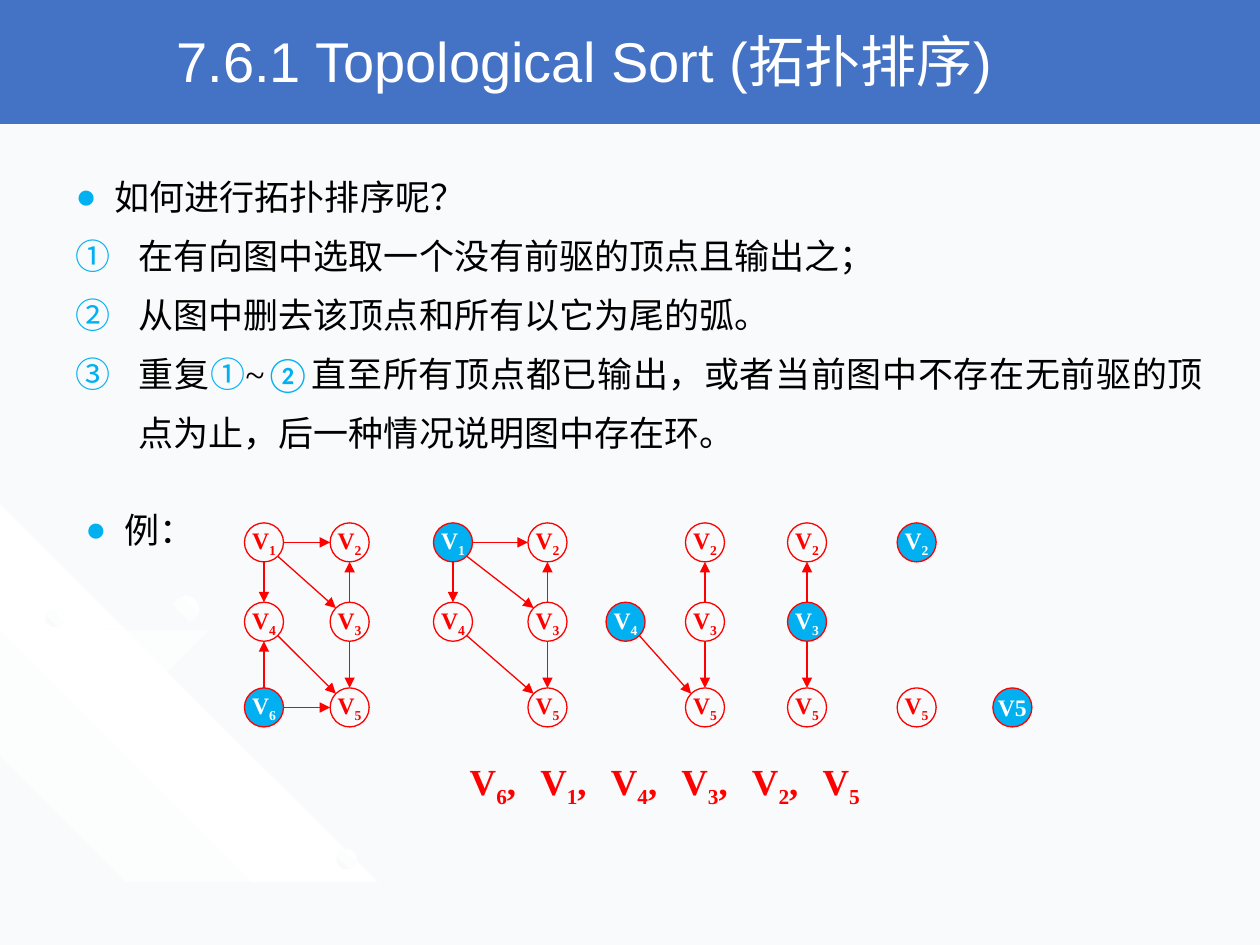
from math import sqrt

from lxml.etree import SubElement
from pptx import Presentation
from pptx.dml.color import RGBColor
from pptx.enum.shapes import MSO_CONNECTOR, MSO_SHAPE
from pptx.enum.text import MSO_ANCHOR, MSO_AUTO_SIZE, PP_ALIGN
from pptx.oxml.ns import qn
from pptx.util import Inches, Pt

COLORS = {"paper": "F9FAFB", "white": "FFFFFF", "band": "4472C4",
          "accent": "00B0F0", "red": "FF0000", "text": "000000"}
SERIF = "Times New Roman"
ORDER = "614325"
GRID = {"1": (0, 0), "2": (1, 0), "4": (0, 1), "3": (1, 1), "6": (0, 2), "5": (1, 2)}
EDGES = ["12", "14", "13", "45", "32", "64", "65", "35"]
ROWS = [0, 0.63, 1.31]
NODE = 0.31
STAGES = [(1.94, 0.68), (3.44, 0.75), (4.81, 0.63), (6.25, 0), (7.12, 0), (7.88, 0)]
ARCS = [
    [(0, 4.38), (0.56, 4.49), (0.97, 4.61), (1.35, 4.78), (1.73, 4.99), (2.08, 5.23),
     (2.41, 5.49), (2.71, 5.79), (2.98, 6.12), (3.23, 6.49), (3.5, 6.98), (3.7, 7.49)],
    [(0, 4.77), (0.39, 4.9), (0.77, 5.07), (1.15, 5.28), (1.5, 5.51), (1.83, 5.78),
     (2.13, 6.08), (2.4, 6.41), (2.65, 6.77), (2.85, 7.14), (3.01, 7.49)],
    [(0, 4.44), (0.39, 4.55), (0.76, 4.73), (1.11, 4.93), (1.44, 5.16), (1.75, 5.43),
     (2.04, 5.73), (2.29, 6.03), (2.54, 6.39), (2.82, 6.93), (3.01, 7.49)],
]
DOTS = [(0.36, 4.83, 0.15), (2.67, 6.74, 0.16), (1.37, 4.73, 0.21)]


def rgb(name):
    """Return the named colour."""
    return RGBColor.from_string(COLORS[name])


def add_run(p, text, size, color, font=SERIF, bold=False, sub=False):
    """Append one formatted run to a paragraph."""
    r = p.add_run()
    r.text = text
    r.font.size, r.font.name, r.font.bold = Pt(size), font, bold
    r.font.color.rgb = rgb(color)
    if sub:
        r.font._element.set("baseline", "-25000")


def add_vertex(p, name, size, color):
    """Write a vertex name with its index as a subscript."""
    add_run(p, "V", size, color, bold=True)
    add_run(p, name, size, color, bold=True, sub=True)


def add_bullet(p, indent, number=False):
    """Give a paragraph a coloured dot or circled number."""
    pPr = p._p.get_or_add_pPr()
    pPr.set("marL", str(Inches(indent)))
    pPr.set("indent", str(-Inches(indent)))
    SubElement(SubElement(pPr, qn("a:buClr")), qn("a:srgbClr"), val=COLORS["accent"])
    if number:
        SubElement(pPr, qn("a:buFont"), typeface="+mj-lt")
        SubElement(pPr, qn("a:buAutoNum"), type="circleNumDbPlain")
    else:
        SubElement(pPr, qn("a:buFont"), typeface=SERIF)
        SubElement(pPr, qn("a:buChar"), char="●")
    p.alignment = PP_ALIGN.JUSTIFY
    p.line_spacing = 1.4 if number else 1.5
    p.space_before = Pt(0)


def paint_gradient(sp, names, angle):
    """Fill a shape with evenly spaced gradient stops and no outline."""
    sp.shadow.inherit = False
    sp.line.fill.background()
    sp.fill.gradient()
    sp.fill.gradient_angle = 360 - angle
    stops = sp.element.spPr.find(qn("a:gradFill")).find(qn("a:gsLst"))
    for gs in list(stops):
        stops.remove(gs)
    for i, name in enumerate(names):
        gs = SubElement(stops, qn("a:gs"), pos=str(100000 * i // (len(names) - 1)))
        SubElement(gs, qn("a:srgbClr"), val=COLORS[name])


def add_outline(s, points, names, angle):
    """Draw a closed gradient outline through points in inches."""
    builder = s.shapes.build_freeform(*points[0], scale=Inches(1))
    builder.add_line_segments(points[1:], close=True)
    paint_gradient(builder.convert_to_shape(), names, angle)


def add_backdrop(s):
    """Draw the pale corner ornament and the title band."""
    s.background.fill.solid()
    s.background.fill.fore_color.rgb = rgb("paper")
    add_outline(s, [(0, 4.27), (3.22, 7.49), (0, 7.49)], ["paper", "white", "paper"], 315)
    for arc in ARCS:
        edge = [(x + 0.02, y - 0.02) for x, y in reversed(arc)]
        add_outline(s, arc + edge, ["white", "paper", "white"], 45)
    for x, y, size in DOTS:
        sp = s.shapes.add_shape(MSO_SHAPE.OVAL, Inches(x), Inches(y), Inches(size), Inches(size))
        paint_gradient(sp, ["paper", "white"], 315)
    band = s.shapes.add_shape(MSO_SHAPE.RECTANGLE, 0, 0, Inches(10), Inches(0.97))
    band.shadow.inherit = False
    band.fill.solid()
    band.fill.fore_color.rgb = band.line.color.rgb = rgb("band")
    band.line.width = Pt(2)


def place(sp, left, top, width, height):
    """Move a placeholder to a box, in front of the backdrop."""
    sp.left, sp.top, sp.width, sp.height = map(Inches, (left, top, width, height))
    sp.element.getparent().append(sp.element)
    sp.text_frame.auto_size = MSO_AUTO_SIZE.NONE
    return sp.text_frame


def add_title(s, *box):
    """Fill the title placeholder."""
    tf = place(s.shapes.title, *box)
    tf.vertical_anchor = MSO_ANCHOR.MIDDLE
    p = tf.paragraphs[0]
    p.alignment = PP_ALIGN.LEFT
    add_run(p, "7.6.1 Topological Sort (拓扑排序)", 32, "white", "Arial")


def add_steps(s, *box):
    """Fill the body placeholder with the question and numbered steps."""
    tf = place(s.placeholders[1], *box)
    p = tf.paragraphs[0]
    add_bullet(p, 0.31)
    add_run(p, "如何进行拓扑排序呢？", 20, "text")
    steps = [["在有向图中选取一个没有前驱的顶点且输出之；"],
             ["从图中删去该顶点和所有以它为尾的弧。"],
             ["重复", "①", "~", "②",
              "直至所有顶点都已输出，或者当前图中不存在无前驱的顶点为止，后一种情况说明图中存在环。"]]
    for step in steps:
        p = tf.add_paragraph()
        add_bullet(p, 0.5, number=True)
        for text in step:
            mark = text in "①②"
            add_run(p, text, 20, "accent" if mark else "text", "Calibri" if mark else SERIF)


def add_label(s, left, top, width, height):
    """Add an unwrapped text box and return its paragraph."""
    tf = s.shapes.add_textbox(*map(Inches, (left, top, width, height))).text_frame
    tf.word_wrap = False
    return tf.paragraphs[0]


def add_node(shapes, name, left, top, chosen, plain):
    """Draw one vertex, filled when it is the next one to output."""
    sp = shapes.add_shape(MSO_SHAPE.OVAL, *map(Inches, (left, top, NODE, NODE)))
    sp.shadow.inherit = False
    sp.line.color.rgb, sp.line.width = rgb("red"), Pt(0.75)
    if chosen:
        sp.fill.solid()
        sp.fill.fore_color.rgb = rgb("accent")
    else:
        sp.fill.background()
    tf = sp.text_frame
    tf.word_wrap, tf.vertical_anchor = False, MSO_ANCHOR.MIDDLE
    tf.margin_left = tf.margin_right = tf.margin_top = tf.margin_bottom = 0
    p = tf.paragraphs[0]
    p.alignment = PP_ALIGN.CENTER
    color = "white" if chosen else "red"
    if plain:
        add_run(p, "V" + name, 13.5, color, bold=True)
    else:
        add_vertex(p, name, 13.5, color)


def add_arc(shapes, start, end):
    """Draw an arrow between the rims of two vertices given by centre."""
    dx, dy = [(b > a) - (b < a) for a, b in zip(start, end)]
    reach = NODE / 2 / sqrt(abs(dx) + abs(dy))
    ends = (start[0] + dx * reach, start[1] + dy * reach,
            end[0] - dx * reach, end[1] - dy * reach)
    c = shapes.add_connector(MSO_CONNECTOR.STRAIGHT, *map(Inches, ends))
    c.line.color.rgb, c.line.width = rgb("red"), Pt(0.75)
    SubElement(c.line._get_or_add_ln(), qn("a:tailEnd"), type="triangle")
    SubElement(c.element.spPr, qn("a:effectLst"))


def add_stage(s, left, top, gap, remaining):
    """Draw the graph of the remaining vertices, the first one chosen."""
    shapes = s.shapes.add_group_shape().shapes
    spots = {v: (left + GRID[v][0] * gap, top + ROWS[GRID[v][1]]) for v in remaining}
    for v, (x, y) in spots.items():
        add_node(shapes, v, x, y, v == remaining[0], len(remaining) == 1)
    for a, b in EDGES:
        if a in spots and b in spots:
            add_arc(shapes, *[[c + NODE / 2 for c in spots[v]] for v in (a, b)])


def add_example(s, left, top):
    """Place the example label, every stage and the resulting sequence."""
    p = add_label(s, left, top, 1.07, 0.6)
    add_bullet(p, 0.31)
    add_run(p, "例：", 20, "text")
    for i, (x, gap) in enumerate(STAGES):
        add_stage(s, x, top + 0.33, gap, ORDER[i:])
        p = add_label(s, left + 3.05 + 0.56 * i, top + 2.15, 0.66, 0.45)
        add_vertex(p, ORDER[i], 21, "red")
        if i < len(ORDER) - 1:
            add_run(p, ",", 21, "red", bold=True)


def main():
    """Build and save the slide."""
    prs = Presentation()
    prs.slide_width, prs.slide_height = Inches(10), Inches(7.5)
    s = prs.slides.add_slide(prs.slide_layouts[1])
    add_backdrop(s)
    add_title(s, 1.3, 0.03, 8.2, 0.9)
    add_steps(s, 0.5, 1.18, 9.15, 2.57)
    add_example(s, 0.58, 3.82)
    prs.save("out.pptx")


if __name__ == "__main__":
    main()
